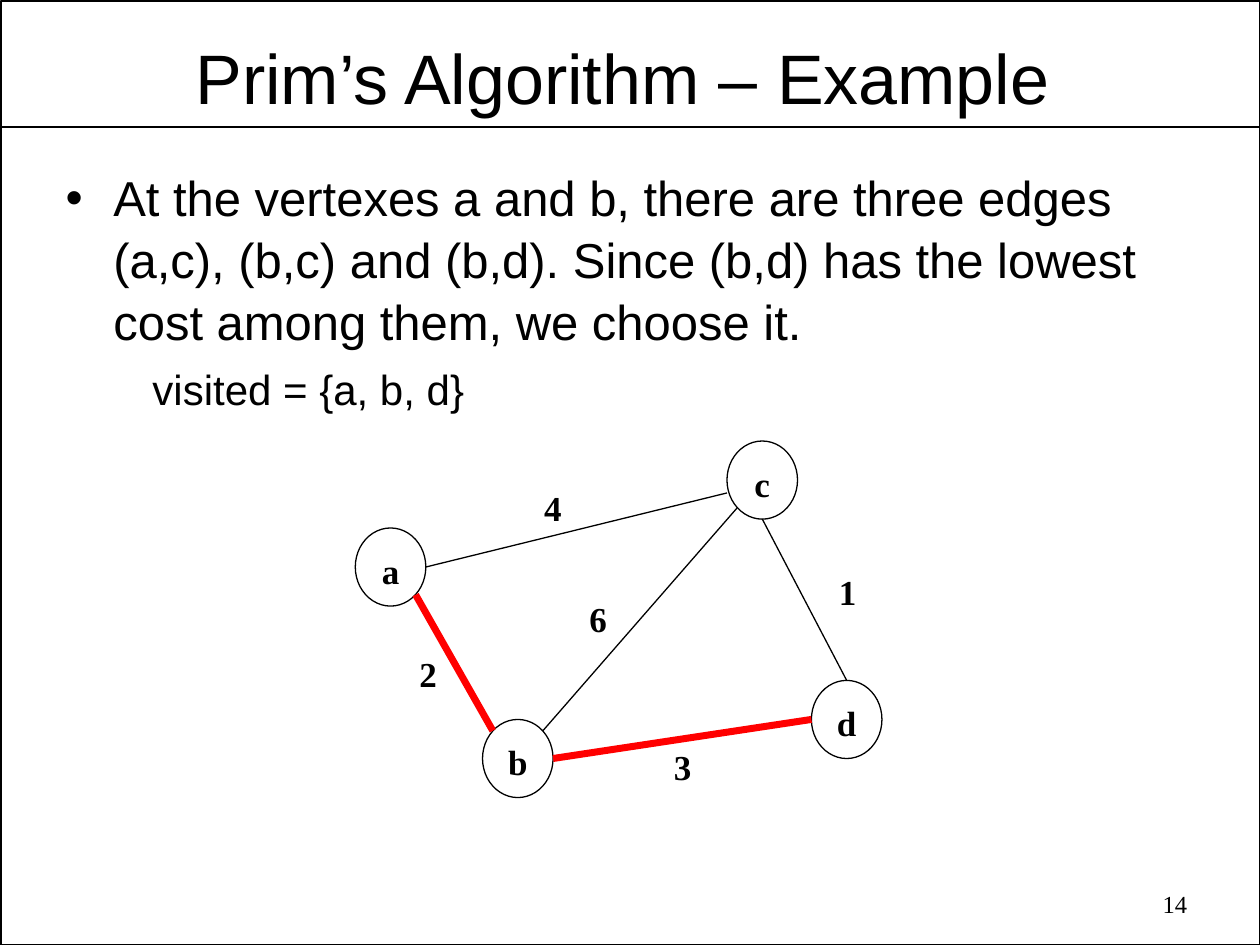
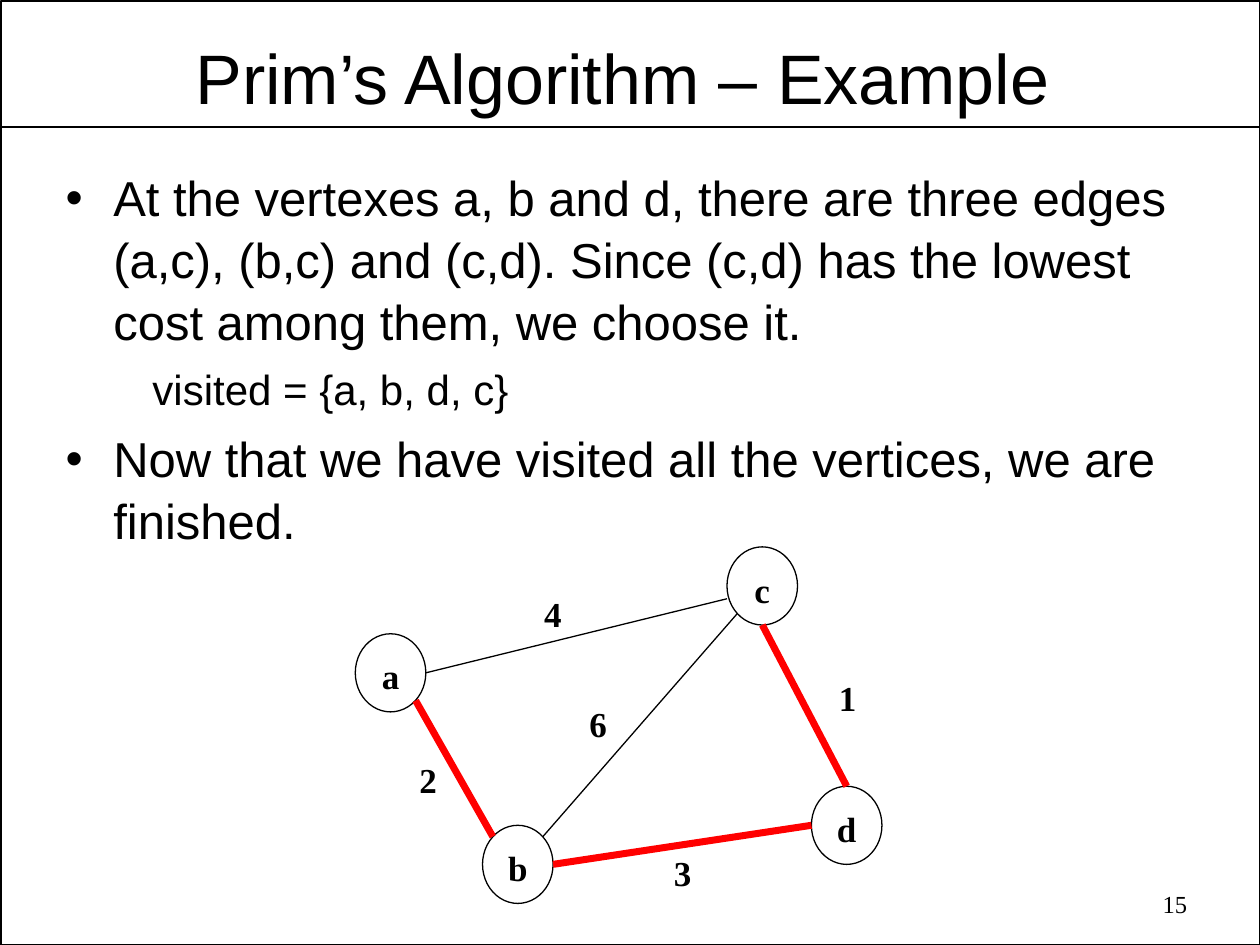
from lxml.etree import SubElement
from pptx import Presentation
from pptx.dml.color import RGBColor
from pptx.enum.shapes import MSO_CONNECTOR, MSO_SHAPE
from pptx.enum.text import MSO_ANCHOR, MSO_AUTO_SIZE, PP_ALIGN
from pptx.oxml.ns import qn
from pptx.util import Inches, Pt

BLACK = RGBColor(0, 0, 0)
RED = RGBColor(0xFF, 0, 0)
SANS, SERIF = "Arial", "Times New Roman"

# Content: (level, text) lists, chosen edges, and the graph's downward shift
TITLE = "Prim’s Algorithm – Example"
SLIDES = [
    {"number": "14", "body_height": 2.12, "shift": 0, "chosen": {"ab", "bd"},
     "body": [
         (0, "At the vertexes a and b, there are three edges (a,c), (b,c) and (b,d). "
             "Since (b,d) has the lowest cost among them, we choose it."),
         (1, "visited = {a, b, d}")]},
    {"number": "15", "body_height": 3, "shift": 0.84, "chosen": {"ab", "bd", "cd"},
     "body": [
         (0, "At the vertexes a, b and d, there are three edges (a,c), (b,c) and (c,d). "
             "Since (c,d) has the lowest cost among them, we choose it."),
         (1, "visited = {a, b, d, c}"),
         (0, "Now that we have visited all the vertices, we are finished.")]},
]

# Graph: vertex centres; edges leave a vertex at offsets given in radii
RX, RY = 0.28, 0.31
DIAG = 0.71
VERTICES = {"a": (3.1, 4.5), "c": (6.05, 3.81), "b": (4.11, 6.02), "d": (6.72, 5.71)}
EDGES = [  # edge, offset at start, offset at end, cost, cost label corner
    ("cd", (0, 1), (0, -1), "1", (6.56, 4.48)),
    ("ac", (1, 0), (-1, 0.33), "4", (4.22, 3.81)),
    ("bd", (1, 0), (-1, 0), "3", (5.25, 5.87)),
    ("bc", (DIAG, -DIAG), (-DIAG, DIAG), "6", (4.58, 4.69)),
    ("ab", (DIAG, DIAG), (-DIAG, -DIAG), "2", (3.23, 5.13)),
]

TITLE_FRAME = {"margin_left": Inches(0.07), "margin_right": Inches(0.22),
               "margin_top": Inches(0.08), "margin_bottom": 0,
               "vertical_anchor": MSO_ANCHOR.TOP, "auto_size": MSO_AUTO_SIZE.NONE}
BODY_FRAME = {"vertical_anchor": MSO_ANCHOR.TOP, "auto_size": MSO_AUTO_SIZE.NONE}
VERTEX_FRAME = {"margin_left": 0, "margin_right": 0, "margin_top": Inches(0.05),
                "margin_bottom": 0, "vertical_anchor": MSO_ANCHOR.MIDDLE,
                "word_wrap": False}
TITLE_FONT = {"size": Pt(40), "name": SANS}
NUMBER_FONT = {"size": Pt(14), "name": SERIF}
GRAPH_FONT = {"size": Pt(20), "name": SERIF, "bold": True}
LEVELS = [  # by list level
    {"font": {"size": Pt(28), "name": SANS}, "before": Pt(7), "left": 0.38, "indent": -0.38},
    {"font": {"size": Pt(24), "name": SANS}, "before": Pt(6), "left": 0.69, "indent": 0},
]


def apply(target, values):
    for name, value in values.items():
        setattr(target, name, value)


def place(sp, left, top, width, height):
    apply(sp, {"left": Inches(left), "top": Inches(top),
               "width": Inches(width), "height": Inches(height)})


def write(p, text, font, align=PP_ALIGN.LEFT):
    p.alignment = align
    r = p.add_run()
    r.text = text
    apply(r.font, font)
    r.font.color.rgb = BLACK


def add_label(s, box, text, font, align=PP_ALIGN.LEFT, wrap=False):
    tf = s.shapes.add_textbox(*map(Inches, box)).text_frame
    tf.word_wrap = wrap
    write(tf.paragraphs[0], text, font, align)


def add_outline(s, shape, box, width):
    sp = s.shapes.add_shape(shape, *map(Inches, box))
    sp.shadow.inherit = False
    sp.fill.background()
    sp.line.color.rgb = BLACK
    sp.line.width = Pt(width)
    return sp


def add_line(s, start, end, color, width):
    line = s.shapes.add_connector(MSO_CONNECTOR.STRAIGHT, *map(Inches, start + end))
    line.line.color.rgb = color
    line.line.width = Pt(width)
    SubElement(line.element.spPr, qn("a:effectLst"))
    return line


def add_frame(s, layout):
    """Draw the page border and title rule, then hand them to the shared layout."""
    border = add_outline(s, MSO_SHAPE.RECTANGLE, (0.01, 0.01, 9.99, 7.49), 1)
    rule = add_line(s, (0.01, 1.01), (9.99, 1.01), BLACK, 1)
    for sp in (border, rule):
        layout.shapes.element.append(sp.element)


def add_title(s):
    sp = s.shapes.title
    place(sp, 0.53, 0.19, 8.97, 0.72)
    apply(sp.text_frame, TITLE_FRAME)
    write(sp.text_frame.paragraphs[0], TITLE, TITLE_FONT, PP_ALIGN.CENTER)


def add_body(s, items, height):
    sp = s.placeholders[1]
    place(sp, 0.42, 1.26, 9.17, height)
    tf = sp.text_frame
    apply(tf, BODY_FRAME)
    for i, (level, text) in enumerate(items):
        p = tf.add_paragraph() if i else tf.paragraphs[0]
        style = LEVELS[level]
        apply(p, {"level": level, "line_spacing": 1.05, "space_before": style["before"]})
        write(p, text, style["font"])
        pPr = p._p.get_or_add_pPr()
        pPr.set("marL", str(Inches(style["left"])))
        pPr.set("indent", str(Inches(style["indent"])))
        if level:
            SubElement(pPr, qn("a:buNone"))
        else:
            SubElement(pPr, qn("a:buChar")).set("char", "•")


def add_graph(s, chosen, shift):
    def rim(vertex, offset):
        x, y = VERTICES[vertex]
        return x + offset[0] * RX, y + shift + offset[1] * RY

    # Vertices
    for name in VERTICES:
        sp = add_outline(s, MSO_SHAPE.OVAL, (*rim(name, (-1, -1)), 2 * RX, 2 * RY), 0.75)
        apply(sp.text_frame, VERTEX_FRAME)
        write(sp.text_frame.paragraphs[0], name, GRAPH_FONT, PP_ALIGN.CENTER)

    # Edges and their costs
    for edge, start, end, cost, (x, y) in EDGES:
        color, width = (RED, 4) if edge in chosen else (BLACK, 0.75)
        add_line(s, rim(edge[0], start), rim(edge[1], end), color, width)
        add_label(s, (x, y + shift, 0.34, 0.44), cost, GRAPH_FONT)


def main():
    prs = Presentation()
    prs.slide_width, prs.slide_height = Inches(10), Inches(7.5)
    layout = prs.slide_layouts[1]
    for i, content in enumerate(SLIDES):
        s = prs.slides.add_slide(layout)
        if i == 0:
            add_frame(s, layout)
        add_title(s)
        add_body(s, content["body"], content["body_height"])
        add_label(s, (7.18, 7.01, 2.34, 0.36), content["number"], NUMBER_FONT,
                  PP_ALIGN.RIGHT, wrap=True)
        add_graph(s, content["chosen"], content["shift"])
    prs.save("out.pptx")


if __name__ == "__main__":
    main()
